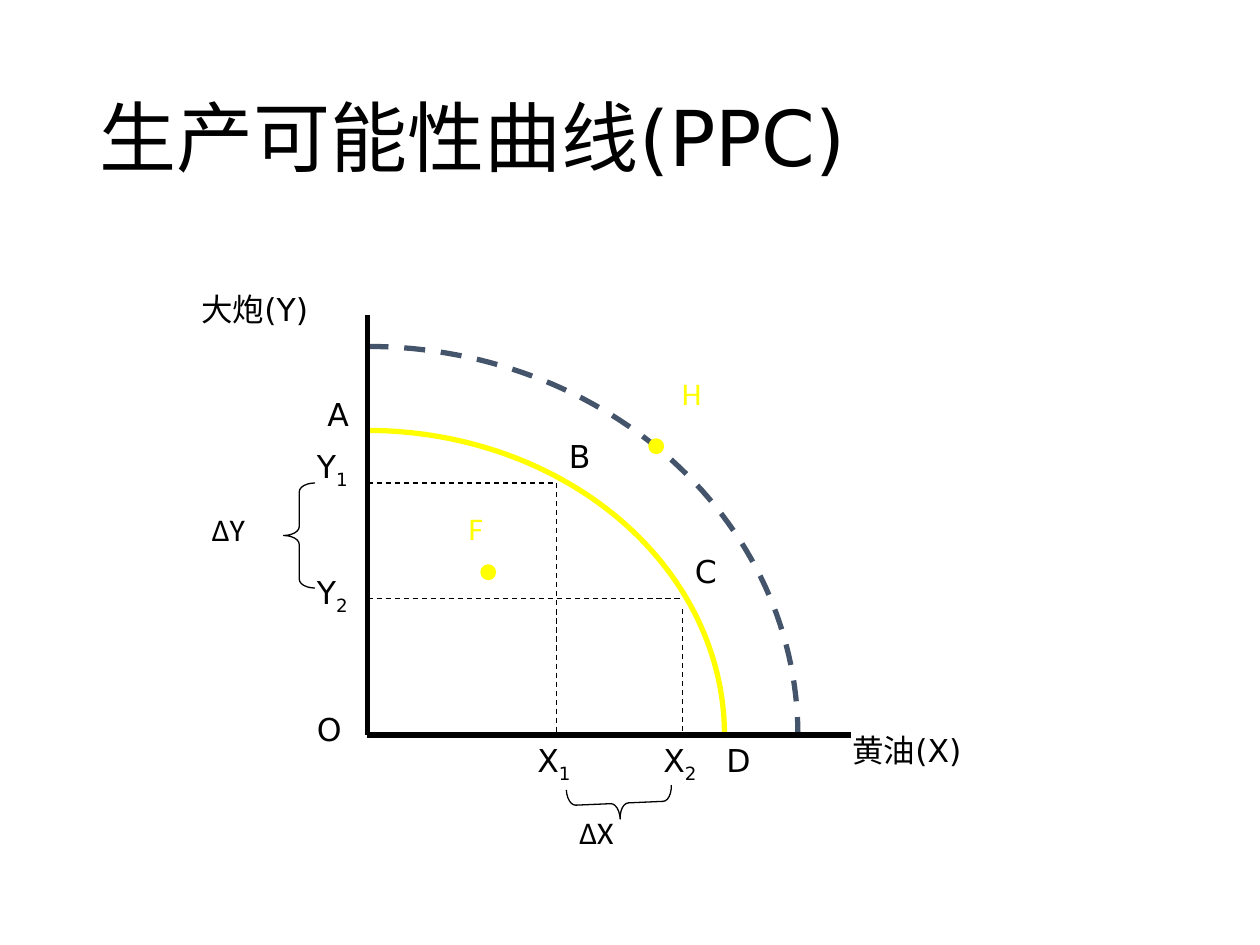
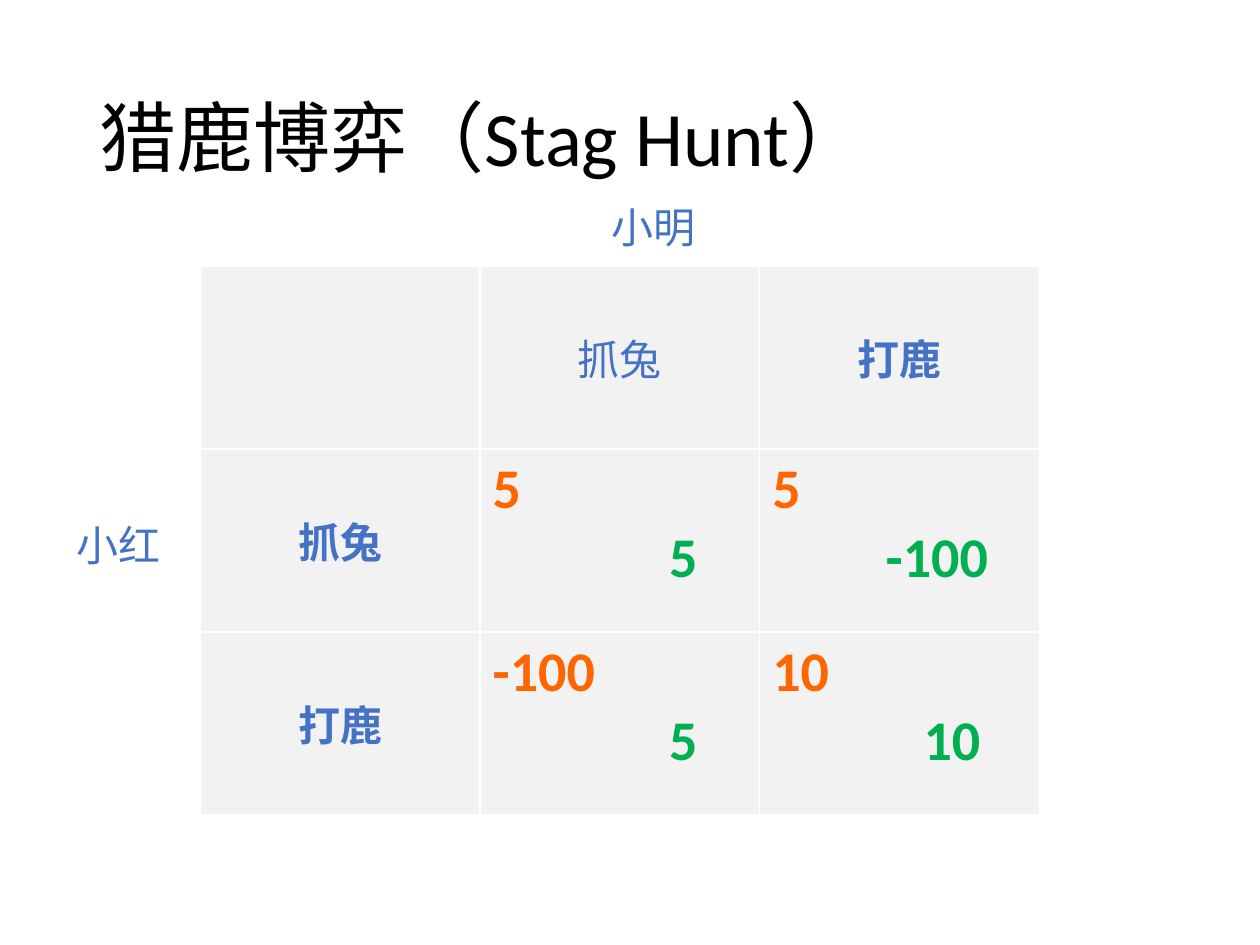
from math import cos, pi, sin

from lxml.etree import SubElement
from pptx import Presentation
from pptx.dml.color import RGBColor
from pptx.enum.dml import MSO_LINE
from pptx.enum.shapes import MSO_CONNECTOR, MSO_SHAPE
from pptx.enum.text import MSO_ANCHOR, MSO_AUTO_SIZE, PP_ALIGN
from pptx.oxml.ns import qn
from pptx.util import Inches, Pt

COLORS = {
    "black": "000000", "white": "FFFFFF", "yellow": "FFFF00", "slate": "44546A",
    "blue": "4472C4", "orange": "FF6600", "green": "00B050", "cell": "F2F2F2",
}
SANS, CALIBRI, CJK = "DejaVu Sans", "Calibri", "Noto Sans CJK SC"

# The diagram lies on a grid of twelve steps to the inch.
GRID = 1 / 12
ORIGIN = (35, 70)
AXIS_ENDS = [(81, 70), (35, 30)]
CURVES = [  # horizontal radius, vertical radius, colour, dash
    (34, 29, "yellow", None),
    (41, 37, "slate", MSO_LINE.DASH),
]
GUIDES = [
    ((35, 46), (53, 46)), ((53, 46), (53, 70)),
    ((35, 57), (65, 57)), ((65, 58), (65, 70)),
]
AXIS_LABELS = [  # text, subscript, left, top, width
    ("O", "", 29, 67, 6), ("黄油(X)", "", 80, 69, 18), ("大炮(Y)", "", 18, 27, 18),
    ("A", "", 30, 37, 6), ("B", "", 53, 41, 6), ("C", "", 65, 52, 6), ("D", "", 68, 70, 6),
    ("Y", "1", 29, 42, 12), ("Y", "2", 29, 54, 12),
    ("X", "1", 50, 70, 12), ("X", "2", 62, 70, 12),
]
BRACES = [(27, 46, 0), (57.5, 71.5, 267.5)]  # left, top, rotation
CHANGES = [("ΔY", 19, 48), ("ΔX", 54, 76.8)]
POINTS = [  # name, dot position, label position
    ("F", (46, 54), (41.2, 47.9)),
    ("H", (62, 42), (62, 35)),
]

STRATEGIES = ["抓兔", "打鹿"]
PAYOFFS = [  # first player's payoff, second player's payoff, its indent in inches
    [("5", "5", 1.4), ("5", "-100", 0.9)],
    [("-100", "5", 1.4), ("10", "10", 1.2)],
]
PLAYERS = [("小红", 0.41, 4.07), ("小明", 4.66, 1.55)]


def color(name):
    return RGBColor.from_string(COLORS[name])


def grid(*values):
    return [Inches(value * GRID) for value in values]


def write(paragraph, text, size=18, font=SANS, ink="black", bold=False,
          align=PP_ALIGN.LEFT, subscript=False):
    paragraph.alignment = align
    run = paragraph.add_run()
    run.text = text
    run.font.size, run.font.bold, run.font.name = Pt(size), bold, font
    run.font.color.rgb = color(ink)
    properties = run.font._element
    SubElement(properties, qn("a:ea")).set("typeface", CJK)
    if subscript:
        properties.set("baseline", "-25000")


def set_line(shape, ink, width, dash=None):
    shape.line.color.rgb = color(ink)
    shape.line.width = Pt(width)
    if dash:
        shape.line.dash_style = dash


def add_titled_slide(presentation, title, font):
    slide = presentation.slides.add_slide(presentation.slide_layouts[5])
    shape = slide.shapes.title
    shape.left, shape.top = Inches(0.69), Inches(0.4)
    shape.width, shape.height = Inches(8.62), Inches(1.45)
    frame = shape.text_frame
    frame.auto_size = MSO_AUTO_SIZE.NONE
    frame.vertical_anchor = MSO_ANCHOR.MIDDLE
    frame.paragraphs[0].line_spacing = 0.9
    write(frame.paragraphs[0], title, size=44, font=font)
    return slide


def add_label(slide, text, left, top, width, height=6, subscript="", **text_format):
    frame = slide.shapes.add_textbox(*grid(left, top, width, height)).text_frame
    frame.word_wrap = True
    write(frame.paragraphs[0], text, **text_format)
    if subscript:
        write(frame.paragraphs[0], subscript, subscript=True, **text_format)


def add_line(slide, start, end, width, dash=None):
    line = slide.shapes.add_connector(MSO_CONNECTOR.STRAIGHT, *grid(*start, *end))
    set_line(line, "black", width, dash)
    SubElement(line._element.spPr, qn("a:effectLst"))


def add_shape(slide, kind, box, fill=None, ink="black", width=0.75):
    shape = slide.shapes.add_shape(kind, *box)
    shape.shadow.inherit = False
    if fill:
        shape.fill.solid()
        shape.fill.fore_color.rgb = color(fill)
    else:
        shape.fill.background()
    set_line(shape, ink, width)
    return shape


def add_quarter_ellipse(slide, radius_x, radius_y, ink, dash, steps=60):
    angles = [pi / 2 * (1 - step / steps) for step in range(steps + 1)]
    outline = [grid(ORIGIN[0] + radius_x * cos(angle), ORIGIN[1] - radius_y * sin(angle))
               for angle in angles]
    builder = slide.shapes.build_freeform(*outline[0])
    builder.add_line_segments(outline[1:], close=False)
    curve = builder.convert_to_shape()
    curve.shadow.inherit = False
    curve.fill.background()
    set_line(curve, ink, 3, dash)


def build_possibility_slide(presentation):
    slide = add_titled_slide(presentation, "生产可能性曲线(PPC)", SANS)
    for curve in CURVES:
        add_quarter_ellipse(slide, *curve)
    for text, subscript, left, top, width in AXIS_LABELS:
        add_label(slide, text, left, top, width, subscript=subscript)
    for start, end in GUIDES:
        add_line(slide, start, end, 0.75, MSO_LINE.DASH)
    for end in AXIS_ENDS:
        add_line(slide, ORIGIN, end, 3)
    for left, top, rotation in BRACES:
        brace = add_shape(slide, MSO_SHAPE.LEFT_BRACE, grid(left, top, 3, 10))
        brace.adjustments[0] = 0.28
        brace.rotation = rotation
    for text, left, top in CHANGES:
        add_label(slide, text, left, top, 13, 13, font=CALIBRI, align=PP_ALIGN.JUSTIFY)
    for name, dot, label in POINTS:
        add_shape(slide, MSO_SHAPE.OVAL, grid(*dot, 1, 1), "yellow", "yellow", 3)
        add_label(slide, name, *label, 6, font=CALIBRI, ink="yellow", align=PP_ALIGN.RIGHT)


def write_strategy(cell, text, bold):
    cell.vertical_anchor = MSO_ANCHOR.MIDDLE
    write(cell.text_frame.paragraphs[0], text, size=24, font=CALIBRI, ink="blue",
          bold=bold, align=PP_ALIGN.CENTER)


def write_payoffs(cell, first, second, indent):
    frame = cell.text_frame
    payoff_format = dict(size=32, font=CALIBRI, bold=True)
    write(frame.paragraphs[0], first, ink="orange", **payoff_format)
    paragraph = frame.add_paragraph()
    write(paragraph, second, ink="green", **payoff_format)
    paragraph._p.get_or_add_pPr().set("marL", str(Inches(indent)))


def build_stag_hunt_slide(presentation):
    slide = add_titled_slide(presentation, "猎鹿博弈（Stag Hunt）", CALIBRI)
    size = len(STRATEGIES) + 1
    table = slide.shapes.add_table(size, size, Inches(1.59), Inches(2.11),
                                   Inches(6.66), Inches(4.36)).table
    table.first_row = table.horz_banding = False
    for cell in table.iter_cells():
        cell.fill.solid()
        cell.fill.fore_color.rgb = color("cell")
    for index, strategy in enumerate(STRATEGIES, 1):
        write_strategy(table.cell(0, index), strategy, bold=index > 1)
        write_strategy(table.cell(index, 0), strategy, bold=True)
    for row, payoffs in enumerate(PAYOFFS, 1):
        for column, payoff in enumerate(payoffs, 1):
            write_payoffs(table.cell(row, column), *payoff)
    for name, left, top in PLAYERS:
        box = [Inches(value) for value in (left, top, 1.06, 0.5)]
        player = add_shape(slide, MSO_SHAPE.RECTANGLE, box, "white", "white", 1)
        player.text_frame.vertical_anchor = MSO_ANCHOR.MIDDLE
        write(player.text_frame.paragraphs[0], name, size=24, font=CJK, ink="blue",
              align=PP_ALIGN.CENTER)


def main():
    presentation = Presentation()
    presentation.slide_width, presentation.slide_height = Inches(10), Inches(7.5)
    build_possibility_slide(presentation)
    build_stag_hunt_slide(presentation)
    presentation.save("out.pptx")


if __name__ == "__main__":
    main()
